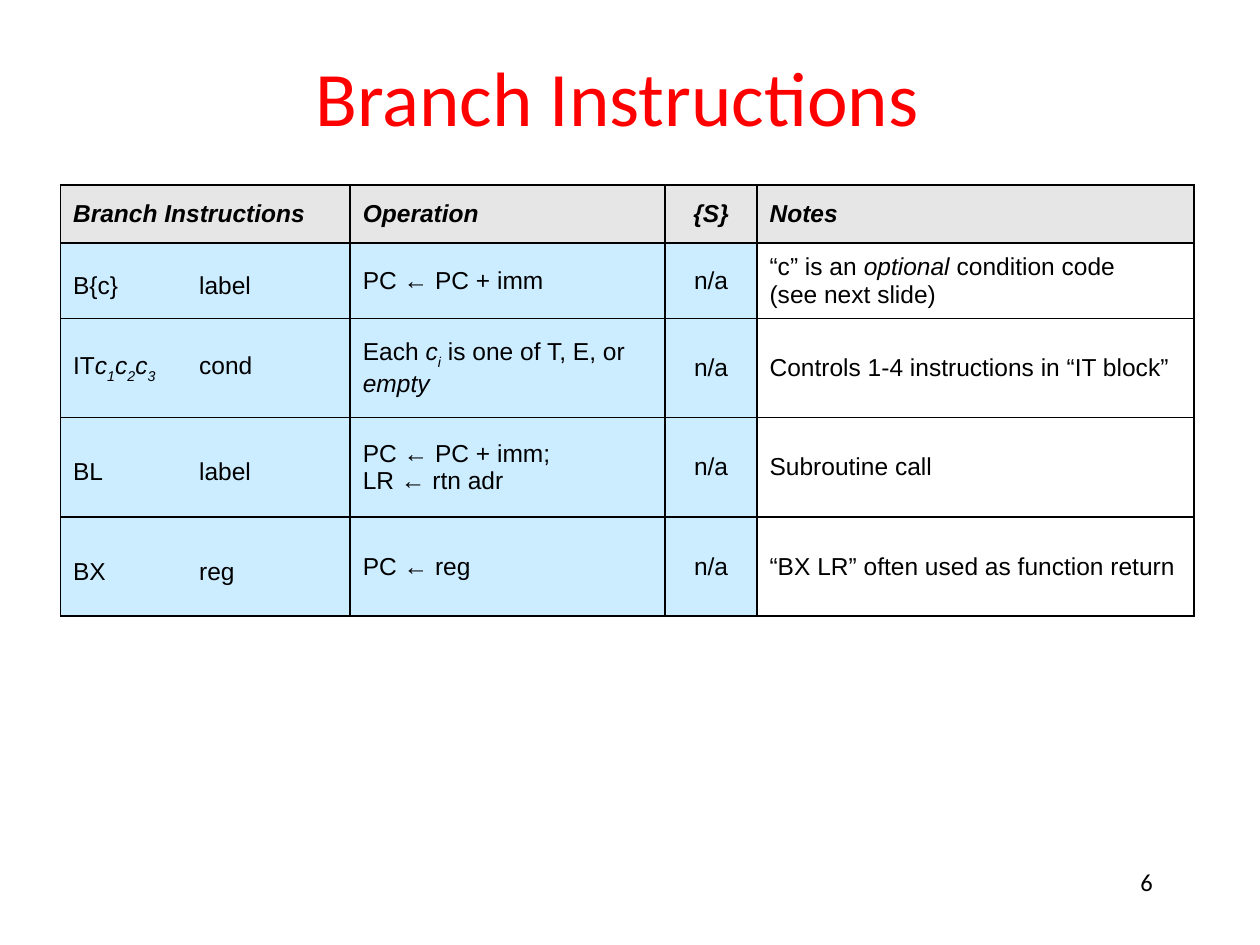
from lxml.etree import SubElement
from pptx import Presentation
from pptx.dml.color import RGBColor
from pptx.enum.text import MSO_ANCHOR as Anchor, PP_ALIGN as Align
from pptx.oxml.ns import qn
from pptx.util import Cm, Pt

BLACK, RED, WHITE, GREY, BLUE = "000000", "FF0000", "FFFFFF", "E6E6E6", "CCECFF"
COLUMNS = [5.84, 6.35, 1.85, 8.81]
ROWS = [1.17, 1.52, 2, 2, 2]
TAB_STOP = 1.57

# Span formats used inside the table
ITALIC = {"italic": True}
SUB = {"italic": True, "baseline": -30000}
WIDE = {"size": 20, "font": "Lato"}

HEADINGS = ["Branch Instructions", "Operation", "{S}", "Notes"]


def syntax(name, operand):
    """Mnemonic and operand, set apart by two tabs."""
    return [(name + "\t", {}), ("\t", WIDE), (operand, {})]


# A cell is a string or a list of (text, format) spans
INSTRUCTIONS = [
    [syntax("B{c}", "label"), "PC ← PC + imm", "n/a",
     [("“c” is an ", {}), ("optional", ITALIC),
      (" condition code\n(see next slide)", {})]],
    [[("IT", {}), ("c", ITALIC), ("1", SUB), ("c", ITALIC), ("2", SUB),
      ("c", ITALIC), ("3\t", SUB), ("cond", {})],
     [("Each ", {}), ("c", ITALIC), ("i", SUB),
      (" is one of T, E, or ", {}), ("empty", ITALIC)],
     "n/a", "Controls 1-4 instructions in “IT block”"],
    [syntax("BL", "label"), "PC ← PC + imm;\nLR ← rtn adr", "n/a",
     "Subroutine call"],
    [syntax("BX", "reg"), "PC ← reg", "n/a",
     "“BX LR” often used as function return"],
]


def color(value):
    return RGBColor.from_string(value)


def add_text(para, text, size=14, font="Arial", fill=BLACK, bold=False,
             italic=False, baseline=None):
    """Add text to a paragraph; a newline becomes a line break."""
    for number, line in enumerate(text.split("\n")):
        if number:
            para.add_line_break()
        span = para.add_run()
        span.text = line
        span.font.size = Pt(size)
        span.font.name = font
        span.font.color.rgb = color(fill)
        span.font.bold = bold
        span.font.italic = italic
        if baseline:
            span.font._element.set("baseline", str(baseline))


def add_tab_stop(para, position):
    tabs = SubElement(para._p.get_or_add_pPr(), qn("a:tabLst"))
    SubElement(tabs, qn("a:tab"), pos=str(Cm(position)), algn="l")


def add_borders(cell):
    properties = cell._tc.get_or_add_tcPr()
    for side in ("lnL", "lnR", "lnT", "lnB"):
        line = SubElement(properties, qn("a:" + side), w=str(Pt(1)))
        solid = SubElement(line, qn("a:solidFill"))
        SubElement(solid, qn("a:srgbClr"), val=BLACK)


def fill_cell(cell, content, background, align, **style):
    add_borders(cell)
    cell.fill.solid()
    cell.fill.fore_color.rgb = color(background)
    cell.vertical_anchor = Anchor.MIDDLE
    para = cell.text_frame.paragraphs[0]
    para.alignment = align
    spans = [(content, {})] if isinstance(content, str) else content
    for text, span_style in spans:
        add_text(para, text, **{**style, **span_style})
    return para


def add_title(page, text):
    title = page.shapes.title
    title.left, title.top = Cm(1.65), Cm(0.33)
    title.width, title.height = Cm(21.59), Cm(3.18)
    title.text_frame.vertical_anchor = Anchor.MIDDLE
    para = title.text_frame.paragraphs[0]
    para.alignment = Align.CENTER
    add_text(para, text, size=44, font="Calibri", fill=RED)


def add_instruction_table(page):
    frame = page.shapes.add_table(len(ROWS), len(COLUMNS), Cm(1.22), Cm(3.73),
                                  Cm(sum(COLUMNS)), Cm(sum(ROWS)))
    table = frame.table
    table.first_row = table.horz_banding = False
    for column, width in zip(table.columns, COLUMNS):
        column.width = Cm(width)
    for row, height in zip(table.rows, ROWS):
        row.height = Cm(height)

    for r, contents in enumerate([HEADINGS] + INSTRUCTIONS):
        heading = r == 0
        for c, content in enumerate(contents):
            background = GREY if heading else WHITE if c == 3 else BLUE
            align = Align.CENTER if c == 2 else Align.LEFT
            para = fill_cell(table.cell(r, c), content, background, align,
                             bold=heading, italic=heading)
            if c == 0:
                add_tab_stop(para, TAB_STOP)


def add_page_number(page, number):
    box = page.shapes.add_textbox(Cm(18.21), Cm(17.35), Cm(5.28), Cm(1.27))
    box.text_frame.word_wrap = True
    para = box.text_frame.paragraphs[0]
    para.alignment = Align.RIGHT
    add_text(para, number, font="Calibri")


def main():
    deck = Presentation()
    deck.slide_width, deck.slide_height = Cm(25.4), Cm(19.05)
    page = deck.slides.add_slide(deck.slide_layouts[5])
    add_title(page, "Branch Instructions")
    add_instruction_table(page)
    add_page_number(page, "6")
    deck.save("out.pptx")


if __name__ == "__main__":
    main()
